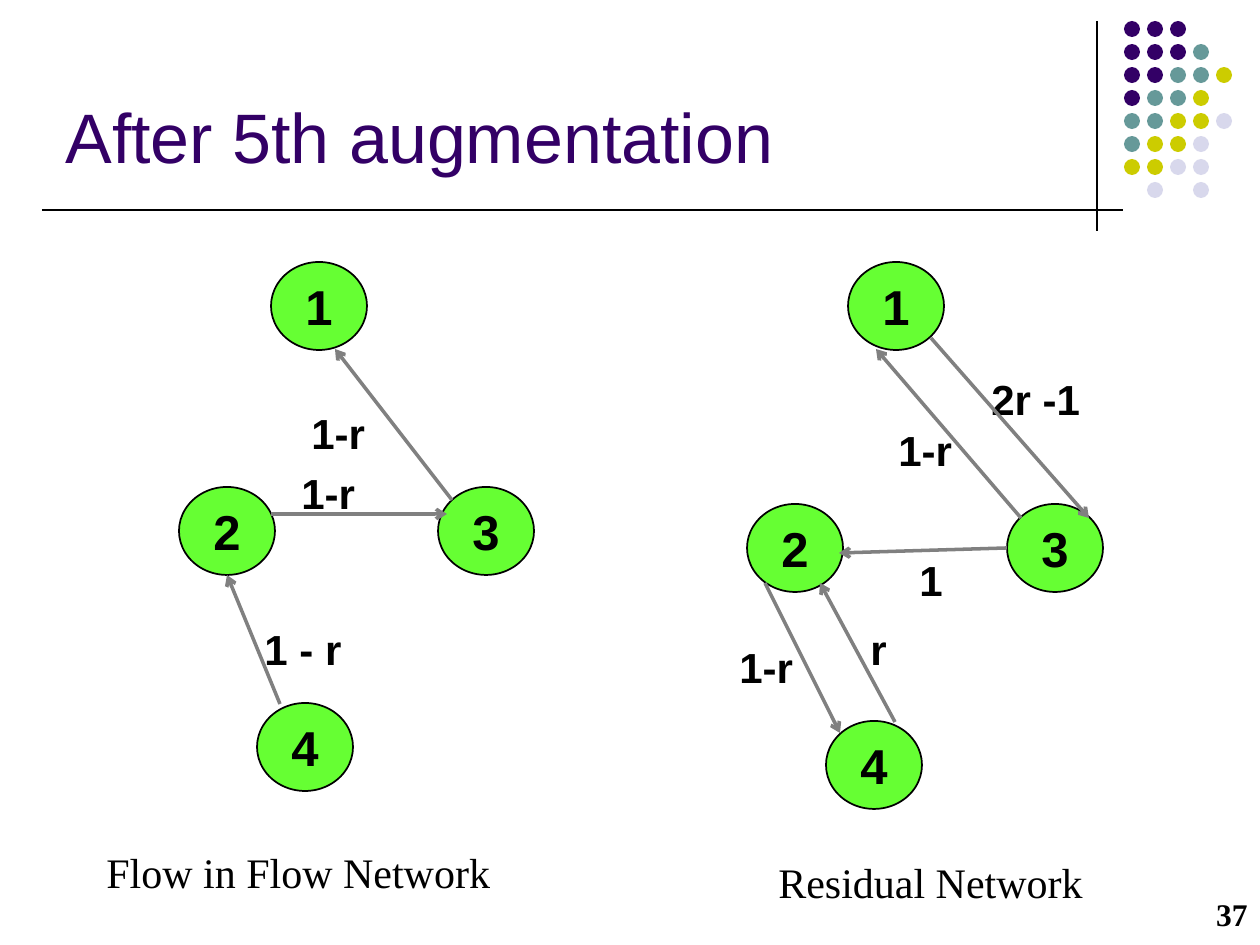
"""Builds the slide on the flow and residual networks after the fifth augmentation."""
from pptx import Presentation
from pptx.dml.color import RGBColor
from pptx.enum.shapes import MSO_CONNECTOR, MSO_SHAPE
from pptx.enum.text import MSO_ANCHOR, PP_ALIGN
from pptx.oxml.ns import qn
from pptx.util import Pt
from lxml import etree

OVAL = MSO_SHAPE.OVAL
LINE = MSO_CONNECTOR.STRAIGHT
TOP, MID, LOW = MSO_ANCHOR.TOP, MSO_ANCHOR.MIDDLE, MSO_ANCHOR.BOTTOM
LEFT, MIDDLE, RIGHT = PP_ALIGN.LEFT, PP_ALIGN.CENTER, PP_ALIGN.RIGHT

SCALE = 914400 / 126
THEME = {
    "dots": {"P": "330066", "T": "669999", "Y": "CCCC00", "L": "D8D8EC"},
    "node": "66FF33", "edge": "808080", "ink": "000000",
    "rule": 0.75, "rim": 1, "flow": 2,
    "title": {"name": "Arial", "size": 40, "bold": False, "color": "330066"},
    "num": {"name": "Arial", "size": 28, "bold": True, "color": "000000"},
    "label": {"name": "Arial", "size": 24, "bold": True, "color": "000000"},
    "note": {"name": "Times New Roman", "size": 24, "bold": False, "color": "000000"},
    "page": {"name": "Times New Roman", "size": 18, "bold": True, "color": "000000"},
}

TITLE = ("After 5th augmentation", (53, 105, 1134, 79))
PAGE = ("37", (1018, 882, 242, 63))
RULES = [(1097, 21, 1097, 231), (42, 210, 1123, 210)]
DOTS = ["PPP", "PPPT", "PPTTY", "PTTY", "TTYYL", "TYYL", "YYLL", " L L"]
DOT_X, DOT_Y, DOT, STEP = 1124, 21, 16, 23
NODE_W, NODE_H, LABEL_H = 96, 88, 63

GRAPHS = [
    {
        "note": ("Flow in Flow Network", (94, 840, 430, 63)),
        "nodes": [("1", 271, 262), ("2", 179, 487), ("3", 438, 487), ("4", 257, 703)],
        "labels": [("1-r", 299, 401, 84), ("1-r", 289, 461, 144),
                   ("1 - r", 252, 617, 121)],
        "edges": [(452, 500, 335, 349), (271, 514, 447, 514), (280, 704, 227, 575)],
    },
    {
        "note": ("Residual Network", (766, 850, 350, 63)),
        "nodes": [("1", 848, 262), ("2", 747, 504), ("3", 1007, 504), ("4", 826, 721)],
        "labels": [("2r -1", 979, 367, 186), ("1-r", 886, 418, 84),
                   ("1", 907, 548, 132), ("r", 858, 617, 57), ("1-r", 727, 635, 83)],
        "edges": [(931, 338, 1089, 518), (1021, 518, 876, 349), (1007, 548, 839, 553),
                  (895, 722, 820, 583), (765, 583, 840, 733)],
    },
]


def px(*nums):
    return [round(n * SCALE) for n in nums]


def rgb(code):
    return RGBColor.from_string(code)


def write(frame, text, style, align=LEFT, anchor=TOP):
    margins = dict(zip(("margin_left", "margin_top", "margin_right", "margin_bottom"),
                       px(12.6, 6.3, 12.6, 6.3)))
    for key, val in {"word_wrap": True, "vertical_anchor": anchor, **margins}.items():
        setattr(frame, key, val)
    para = frame.paragraphs[0]
    para.alignment = align
    run = para.add_run()
    run.text = text
    look = THEME[style]
    font = {"name": look["name"], "size": Pt(look["size"]), "bold": look["bold"]}
    for key, val in font.items():
        setattr(run.font, key, val)
    run.font.color.rgb = rgb(look["color"])


def box(text, area, style, **opts):
    write(shapes.add_textbox(*px(*area)).text_frame, text, style, **opts)


def oval(area, fill, rim=None):
    shape = shapes.add_shape(OVAL, *px(*area))
    shape.shadow.inherit = False
    shape.fill.solid()
    shape.fill.fore_color.rgb = rgb(fill)
    if rim:
        shape.line.color.rgb = rgb(rim)
        shape.line.width = Pt(THEME["rim"])
    else:
        shape.line.fill.background()
    return shape


def link(ends, color, width, arrow=False):
    line = shapes.add_connector(LINE, *px(*ends))
    line.line.color.rgb = rgb(color)
    line.line.width = Pt(width)
    props = line.line._get_or_add_ln()
    if arrow:
        etree.SubElement(props, qn("a:tailEnd"), type="arrow")
    etree.SubElement(props.getparent(), qn("a:effectLst"))


deck = Presentation()
deck.slide_width, deck.slide_height = px(1260, 945)
slide = deck.slides.add_slide(deck.slide_layouts[5])
shapes = slide.shapes

head = shapes.title
text, area = TITLE
for key, val in zip(("left", "top", "width", "height"), px(*area)):
    setattr(head, key, val)
write(head.text_frame, text, "title", anchor=LOW)

for ends in RULES:
    link(ends, THEME["ink"], THEME["rule"])
for row, marks in enumerate(DOTS):
    for col, mark in enumerate(marks):
        if mark in THEME["dots"]:
            oval((DOT_X + col * STEP, DOT_Y + row * STEP, DOT, DOT), THEME["dots"][mark])

box(*PAGE, "page", align=RIGHT, anchor=MID)
for graph in GRAPHS:
    box(*graph["note"], "note")
    for name, x, y in graph["nodes"]:
        node = oval((x, y, NODE_W, NODE_H), THEME["node"], THEME["ink"])
        write(node.text_frame, name, "num", align=MIDDLE, anchor=MID)
    for text, x, y, wide in graph["labels"]:
        box(text, (x, y, wide, LABEL_H), "label")
    for ends in graph["edges"]:
        link(ends, THEME["edge"], THEME["flow"], arrow=True)

deck.save("out.pptx")
